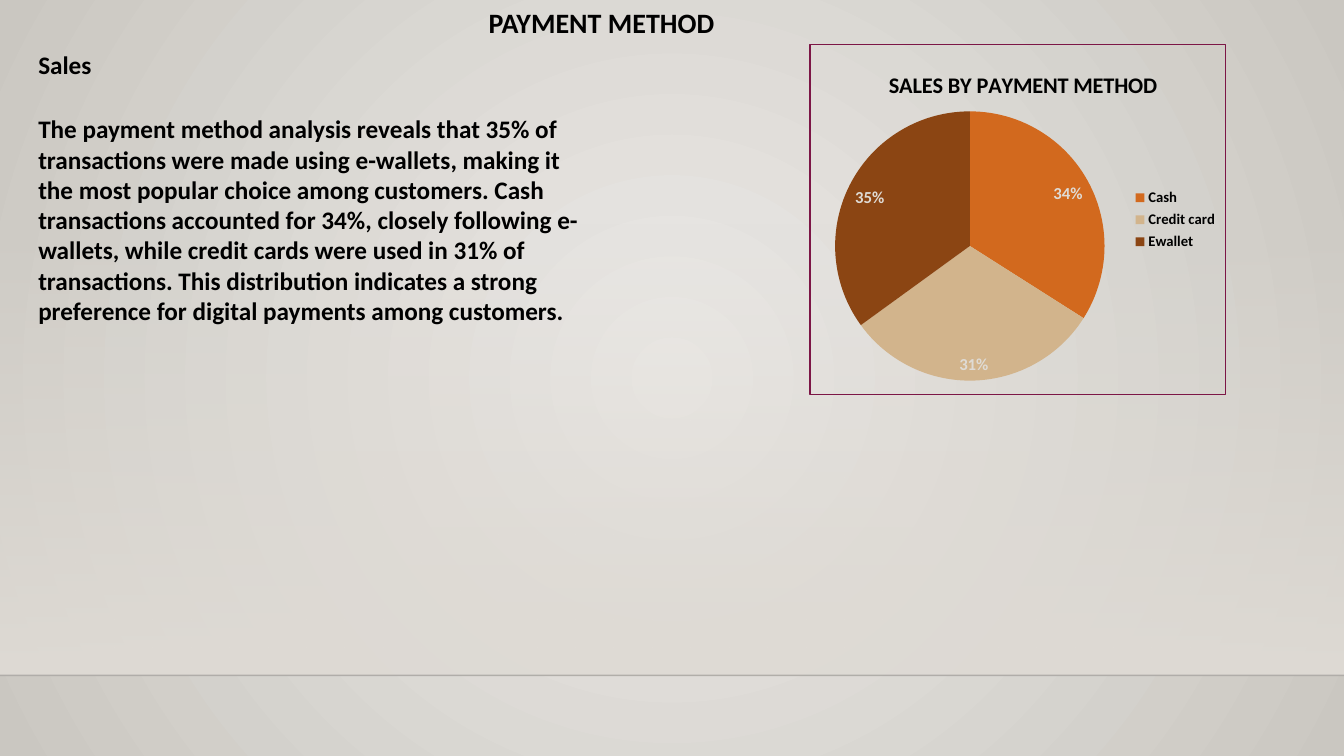
from lxml import etree
from pptx import Presentation
from pptx.chart.data import CategoryChartData
from pptx.dml.color import RGBColor
from pptx.enum.chart import XL_CHART_TYPE, XL_LABEL_POSITION, XL_LEGEND_POSITION
from pptx.enum.shapes import MSO_CONNECTOR, MSO_SHAPE
from pptx.enum.text import MSO_ANCHOR, MSO_AUTO_SIZE, PP_ALIGN
from pptx.oxml import parse_xml
from pptx.oxml.ns import nsdecls, qn
from pptx.util import Cm, Pt

PIE = XL_CHART_TYPE.PIE
IN_END = XL_LABEL_POSITION.INSIDE_END
RIGHT = XL_LEGEND_POSITION.RIGHT
LINE = MSO_CONNECTOR.STRAIGHT
RECT = MSO_SHAPE.RECTANGLE
TOP = MSO_ANCHOR.TOP
GROW = MSO_AUTO_SIZE.SHAPE_TO_FIT_TEXT
LEFT, MID = PP_ALIGN.LEFT, PP_ALIGN.CENTER

WIDE, HIGH = 33.87, 19.05
FLOOR = 17.02
HUES = {
    "ink": "000000", "rule": "000001", "glow": "ECEAE7", "edge": "CAC7C1",
    "sand": "DFDBD5", "frame": "7C1646",
}
SALES = {
    "Cash": (34, "D2691E"),
    "Credit card": (31, "D2B48C"),
    "Ewallet": (35, "8B4513"),
}
NOTE = (
    "The payment method analysis reveals that 35% of transactions were made "
    "using e-wallets, making it the most popular choice among customers. Cash "
    "transactions accounted for 34%, closely following e-wallets, while credit "
    "cards were used in 31% of transactions. This distribution indicates a "
    "strong preference for digital payments among customers."
)


def rgb(name):
    """Return the named colour."""
    return RGBColor.from_string(HUES[name])


def box(*sides):
    """Turn centimetre values into lengths."""
    return [Cm(side) for side in sides]


def style(item, **values):
    """Set attributes from a dict of format values."""
    for name, value in values.items():
        setattr(item, name, value)


def write(font, size, hue="ink"):
    """Format a bold font."""
    style(font, name="Calibri", size=Pt(size), bold=True)
    font.color.rgb = rgb(hue)


def fade(fill, *names):
    """Apply a two-stop gradient running downwards."""
    fill.gradient()
    fill.gradient_angle = 270
    for stop, name in zip(fill.gradient_stops, names):
        stop.color.rgb = rgb(name)


def clear(part, alpha):
    """Set the opacity of the first plain colour in a part."""
    tone = next(part.iter(qn("a:srgbClr")))
    etree.SubElement(tone, qn("a:alpha")).set("val", str(alpha * 1000))


def paint(slide):
    """Draw the radial backdrop, the band and the floor line."""
    fade(slide.background.fill, "glow", "edge")
    slant = next(slide.element.iter(qn("a:lin")))
    slant.getparent().replace(slant, parse_xml(
        f'<a:path {nsdecls("a")} path="circle">'
        '<a:fillToRect l="50000" t="50000" r="50000" b="50000"/></a:path>'))
    band = slide.shapes.add_shape(RECT, *box(0, 5.61, WIDE, FLOOR - 5.61))
    band.shadow.inherit = False
    band.line.fill.background()
    fade(band.fill, "sand", "sand")
    clear(band.element, 0)
    rule = slide.shapes.add_connector(LINE, *box(0, FLOOR, WIDE, FLOOR))
    rule.line.width = Pt(1)
    rule.line.color.rgb = rgb("rule")
    clear(rule.element, 20)
    etree.SubElement(rule.element.spPr, qn("a:effectLst"))
    tree = band.element.getparent()
    for spot, shape in enumerate((band, rule), 2):
        tree.insert(spot, shape.element)


def fill_in(shape, text, place, size, align=LEFT):
    """Move a placeholder and give it plain bold text."""
    style(shape, **dict(zip(("left", "top", "width", "height"), box(*place))))
    frame = shape.text_frame
    frame.text = text
    style(frame, word_wrap=True, vertical_anchor=TOP, auto_size=GROW)
    para = frame.paragraphs[0]
    style(para, alignment=align, space_before=Pt(0))
    props = para._p.get_or_add_pPr()
    props.set("marL", "0")
    props.set("indent", "0")
    etree.SubElement(props, qn("a:buNone"))
    write(para.runs[0].font, size)


def pin(part, spot, **sides):
    """Give a chart part a fixed place, as shares of the chart."""
    for old in part.findall(qn("c:layout")):
        part.remove(old)
    lay = etree.Element(qn("c:layout"))
    hand = etree.SubElement(lay, qn("c:manualLayout"))
    if "w" in sides:
        if part.tag == qn("c:plotArea"):
            etree.SubElement(hand, qn("c:layoutTarget")).set("val", "inner")
    for mode in ("xMode", "yMode"):
        etree.SubElement(hand, qn(f"c:{mode}")).set("val", "edge")
    for side, share in sides.items():
        etree.SubElement(hand, qn(f"c:{side}")).set("val", str(share))
    part.insert(spot, lay)


def add_pie(slide):
    """Add the framed pie of sales by payment method."""
    data = CategoryChartData()
    data.categories = list(SALES)
    data.add_series("Series 1", [value for value, _ in SALES.values()])
    chart = slide.shapes.add_chart(
        PIE, *box(20.4, 1.12, 10.49, 8.84), data).chart
    write(chart.font, 10)
    style(chart, has_title=True, has_legend=True)
    head = chart.chart_title.text_frame
    head.text = "SALES BY PAYMENT METHOD"
    write(head.paragraphs[0].runs[0].font, 16)
    style(chart.legend, position=RIGHT, include_in_layout=False)
    write(chart.legend.font, 10.5)
    plot = chart.plots[0]
    style(plot, vary_by_categories=True, has_data_labels=True)
    style(plot.data_labels, show_percentage=True, show_value=False,
          number_format="0%", number_format_is_linked=False, position=IN_END)
    write(plot.data_labels.font, 12, "sand")
    for spot, (_, hue) in enumerate(SALES.values()):
        fill = plot.series[0].points[spot].format.fill
        fill.solid()
        fill.fore_color.rgb = RGBColor.from_string(hue)
    body = chart.element.find(qn("c:chart"))
    pin(body.find(qn("c:title")), 1, x=0.18, y=0.06)
    pin(body.find(qn("c:plotArea")), 0, x=0.06, y=0.19, w=0.65, h=0.77)
    pin(body.find(qn("c:legend")), 1, x=0.77, y=0.4, w=0.22, h=0.2)
    body.addnext(parse_xml(
        f'<c:spPr {nsdecls("c", "a")}><a:noFill/><a:ln w="{Pt(0.75)}">'
        f'<a:solidFill><a:srgbClr val="{HUES["frame"]}"/></a:solidFill>'
        '</a:ln></c:spPr>'))


def main():
    """Build and save the slide."""
    deck = Presentation()
    style(deck, slide_width=Cm(WIDE), slide_height=Cm(HIGH))
    slide = deck.slides.add_slide(deck.slide_layouts[3])
    paint(slide)
    title, label, note = slide.placeholders
    fill_in(title, "PAYMENT METHOD", (8.53, 0, 13.26, 1.12), 20, MID)
    fill_in(label, "Sales", (0.71, 1.12, 5.41, 1.02), 18)
    fill_in(note, NOTE, (0.71, 2.74, 14.15, 6.4), 18)
    add_pie(slide)
    deck.save("out.pptx")


if __name__ == "__main__":
    main()
